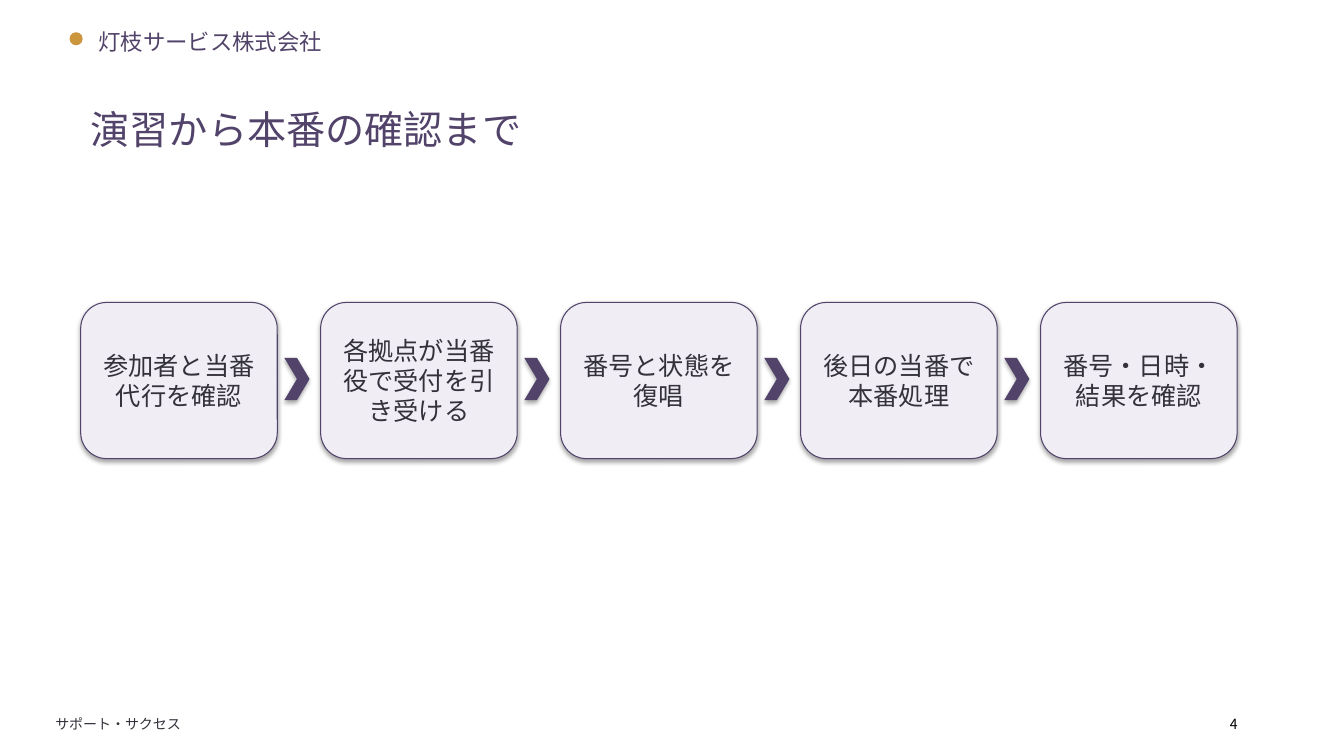
from pptx import Presentation
from pptx.dml.color import RGBColor
from pptx.enum.shapes import MSO_SHAPE
from pptx.enum.text import MSO_ANCHOR, PP_ALIGN
from pptx.oxml.ns import qn
from pptx.util import Emu, Pt

PX = 9144  # 100 px to the inch
FONT = "Noto Sans CJK JP"
PURPLE = RGBColor(0x51, 0x43, 0x69)
LILAC = RGBColor(0xF0, 0xED, 0xF4)
GOLD = RGBColor(0xCC, 0x96, 0x3F)
INK = RGBColor(0x33, 0x31, 0x3A)
BLACK = RGBColor(0, 0, 0)
ROUNDED, CHEVRON, OVAL = (
    MSO_SHAPE.ROUNDED_RECTANGLE, MSO_SHAPE.CHEVRON, MSO_SHAPE.OVAL)
CENTER, MIDDLE = PP_ALIGN.CENTER, MSO_ANCHOR.MIDDLE

STEPS = [
    "参加者と当番代行を確認",
    "各拠点が当番役で受付を引き受ける",
    "番号と状態を復唱",
    "後日の当番で本番処理",
    "番号・日時・結果を確認",
]


def emu(*lengths):
    return [Emu(length * PX) for length in lengths]


def write(shape, text, size, color):
    para = shape.text_frame.paragraphs[0]
    span = para.add_run()
    span.text = text
    for name, value in {"size": Pt(size), "name": FONT}.items():
        setattr(span.font, name, value)
    span.font.color.rgb = color
    east_asian = span.font._element.makeelement(qn("a:ea"), {"typeface": FONT})
    span.font._element.find(qn("a:latin")).addnext(east_asian)
    return para


def add_label(page, box, text, size, color, wrap=False):
    label = page.shapes.add_textbox(*emu(*box))
    label.text_frame.word_wrap = wrap
    write(label, text, size, color)


def add_filled(page, kind, box, fill):
    shape = page.shapes.add_shape(kind, *emu(*box))
    shape.fill.solid()
    shape.fill.fore_color.rgb = fill
    shape.line.fill.background()
    return shape


def add_header(page, left, top):
    emblem = add_filled(page, OVAL, (left + 26, top + 9, 13, 13), GOLD)
    emblem.shadow.inherit = False
    add_label(page, (left + 45, top, 290, 45), "灯枝サービス株式会社", 16, PURPLE)


def add_footer(page, left, top):
    add_label(page, (left, top, 210, 25), "サポート・サクセス", 10, INK)
    add_label(page, (left + 1165, top, 45, 22), "4", 10, BLACK)


def add_process(page, left, top, width, height, pitch):
    """Place equal steps in a row; steps and chevrons keep the theme shadow."""
    for index, text in enumerate(STEPS):
        x = left + index * pitch
        step = add_filled(page, ROUNDED, (x, top, width, height), LILAC)
        step.line.color.rgb = PURPLE
        step.line.width = Pt(0.75)
        step.text_frame.word_wrap = True
        step.text_frame.vertical_anchor = MIDDLE
        write(step, text, 18, INK).alignment = CENTER
        if index < len(STEPS) - 1:
            add_filled(page, CHEVRON, (x + width + 7, top + 55, 25, 42), PURPLE)


def main():
    deck = Presentation()
    deck.slide_width, deck.slide_height = emu(1333, 750)
    page = deck.slides.add_slide(deck.slide_layouts[6])
    add_header(page, 43, 23)
    add_label(page, (80, 100, 1170, 80), "演習から本番の確認まで", 28, PURPLE, True)
    add_process(page, 80, 300, 195, 155, 238)
    add_footer(page, 45, 705)
    deck.save("out.pptx")


if __name__ == "__main__":
    main()
